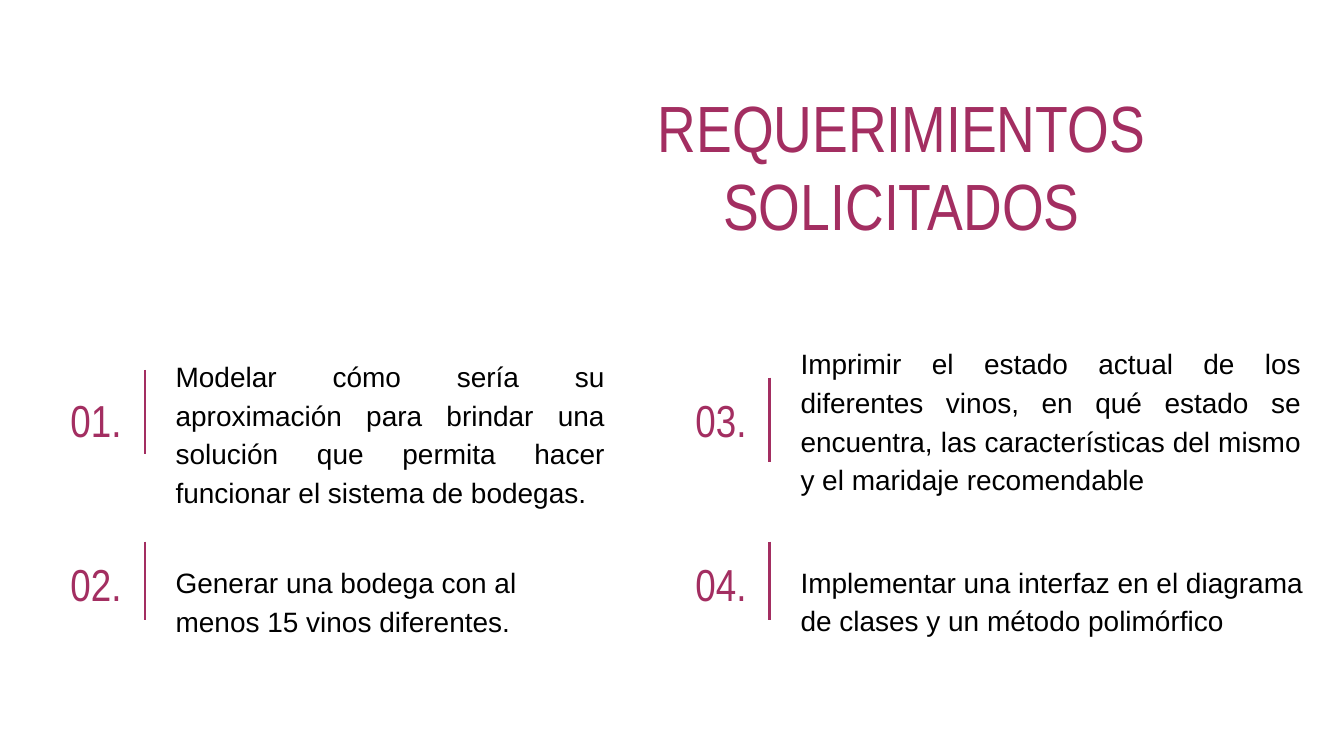
from dataclasses import dataclass

import pptx
import pptx.dml.color
import pptx.enum.shapes
import pptx.enum.text
import pptx.oxml.ns
import pptx.slide
import pptx.util
from lxml import etree

Cm = pptx.util.Cm
Pt = pptx.util.Pt
Align = pptx.enum.text.PP_ALIGN
Anchor = pptx.enum.text.MSO_ANCHOR

WINE = pptx.dml.color.RGBColor(0xA3, 0x2E, 0x61)
BLACK = pptx.dml.color.RGBColor(0, 0, 0)
WHITE = pptx.dml.color.RGBColor(0xFF, 0xFF, 0xFF)

LEFT, RIGHT = 0.89, 12.7
UPPER, LOWER = 7.14, 10.24
NUM_W, NUM_H = 1.85, 1.6
TEXT_GAP = 2.18
INSET = 0.25


@dataclass
class Style:
    font: str
    size: float
    color: pptx.dml.color.RGBColor
    align: Align = Align.CENTER
    anchor: Anchor = Anchor.MIDDLE
    pitch: float = 1.0
    after: float = 0


@dataclass
class Item:
    label: str
    text: str
    left: float
    top: float
    bar_top: float
    bar_len: float
    text_top: float
    width: float
    height: float
    align: Align


HEAD = Style("Arial Narrow", 35, WINE, anchor=Anchor.TOP)
NUMBER = Style("Arial Narrow", 24, WINE)

ITEMS = [
    Item("01.", "Modelar cómo sería su aproximación para brindar una solución "
         "que permita hacer funcionar el sistema de bodegas.",
         LEFT, UPPER, 6.99, 1.6, 6.99, 8.61, 2.34, Align.JUSTIFY),
    Item("02.", "Generar una bodega con al menos 15 vinos diferentes.",
         LEFT, LOWER, 10.24, 1.47, 10.34, 8.61, 1.98, Align.LEFT),
    Item("03.", "Imprimir el estado actual de los diferentes vinos, en qué estado "
         "se encuentra, las características del mismo y el maridaje recomendable",
         RIGHT, UPPER, 7.14, 1.6, 6.4, 9.96, 3.05, Align.JUSTIFY),
    Item("04.", "Implementar una interfaz en el diagrama de clases y un método "
         "polimórfico",
         RIGHT, LOWER, 10.24, 1.47, 9.91, 10.06, 2.82, Align.LEFT),
]


def add_text(slide: pptx.slide.Slide, text: str, left: float, top: float,
             width: float, height: float, style: Style) -> None:
    box = slide.shapes.add_textbox(Cm(left), Cm(top), Cm(width), Cm(height))
    frame = box.text_frame
    frame.word_wrap = True
    frame.vertical_anchor = style.anchor
    frame.margin_left = frame.margin_right = Cm(INSET)
    frame.margin_top = frame.margin_bottom = Cm(INSET)
    para = frame.paragraphs[0]
    para.text = text
    para.alignment = style.align
    para.line_spacing = style.pitch
    para.space_after = Pt(style.after)
    para.font.name = style.font
    para.font.size = Pt(style.size)
    para.font.color.rgb = style.color


def add_bar(slide: pptx.slide.Slide, left: float, top: float, length: float) -> None:
    bar = slide.shapes.add_connector(
        pptx.enum.shapes.MSO_CONNECTOR.STRAIGHT,
        Cm(left), Cm(top), Cm(left), Cm(top + length))
    bar.line.color.rgb = WINE
    bar.line.width = Pt(1.5)
    etree.SubElement(bar._element.spPr, pptx.oxml.ns.qn("a:effectLst"))


def add_item(slide: pptx.slide.Slide, item: Item) -> None:
    add_text(slide, item.label, item.left, item.top, NUM_W, NUM_H, NUMBER)
    add_bar(slide, item.left + NUM_W, item.bar_top, item.bar_len)
    body = Style("Arial", 15, BLACK, item.align, pitch=1.15, after=12)
    add_text(slide, item.text, item.left + TEXT_GAP, item.text_top,
             item.width, item.height, body)


def main() -> None:
    deck = pptx.Presentation()
    deck.slide_width = Cm(25.4)
    deck.slide_height = Cm(14.29)
    slide = deck.slides.add_slide(deck.slide_layouts[6])
    slide.background.fill.solid()
    slide.background.fill.fore_color.rgb = WHITE
    add_text(slide, "REQUERIMIENTOS SOLICITADOS", 11.68, 1.4, 10.72, 2.34, HEAD)
    for item in ITEMS:
        add_item(slide, item)
    deck.save("out.pptx")


if __name__ == "__main__":
    main()
